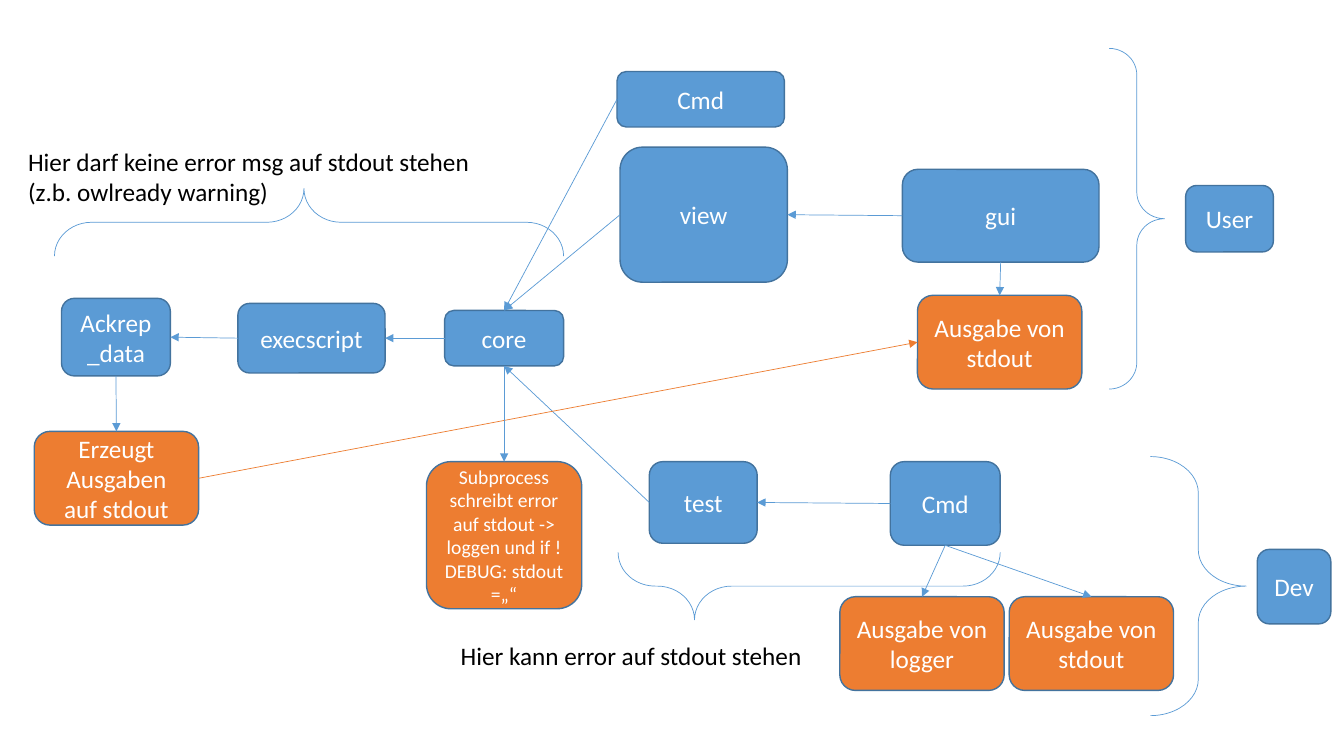
from lxml.etree import SubElement
from pptx import Presentation
from pptx.dml.color import RGBColor
from pptx.enum.shapes import MSO_CONNECTOR, MSO_SHAPE
from pptx.enum.text import MSO_ANCHOR, MSO_AUTO_SIZE, PP_ALIGN
from pptx.oxml.ns import qn
from pptx.util import Pt

PX = 9144
BLUE, ORANGE, EDGE = "5B9BD5", "ED7D31", "43739E"
WHITE, BLACK = "FFFFFF", "000000"
TOP, LEFT, BOTTOM, RIGHT = range(4)
BOX_FRAME = {"word_wrap": True, "vertical_anchor": MSO_ANCHOR.MIDDLE}
LABEL_FRAME = {"word_wrap": False, "auto_size": MSO_AUTO_SIZE.SHAPE_TO_FIT_TEXT}

BOXES = {
    "data": ("Ackrep_data", 61, 296, 108, 77, BLUE),
    "execscript": ("execscript", 236, 301, 146, 69, BLUE),
    "view": ("view", 615, 146, 166, 134, BLUE),
    "gui": ("gui", 895, 168, 195, 92, BLUE),
    "test": ("test", 644, 458, 107, 81, BLUE),
    "dev_cmd": ("Cmd", 883, 458, 109, 83, BLUE),
    "user_stdout": ("Ausgabe von stdout", 910, 293, 163, 93, ORANGE),
    "logger": ("Ausgabe von logger", 833, 592, 163, 93, ORANGE),
    "data_stdout": ("Erzeugt Ausgaben auf stdout", 34, 428, 163, 93, ORANGE),
    "dev_stdout": ("Ausgabe von stdout", 1001, 592, 163, 93, ORANGE),
    "core": ("core", 441, 308, 118, 55, BLUE),
    "subprocess": ("Subprocess schreibt error auf stdout -> loggen und if !DEBUG: stdout =„“",
                   423, 458, 154, 146, ORANGE, 14),
    "user_cmd": ("Cmd", 612, 71, 166, 55, BLUE),
    "user": ("User", 1176, 184, 87, 66, BLUE),
    "dev": ("Dev", 1247, 545, 73, 74, BLUE),
}
ARROWS = [
    ("test", LEFT, "core", BOTTOM, BLUE),
    ("execscript", LEFT, "data", RIGHT, BLUE),
    ("view", LEFT, "core", TOP, BLUE),
    ("gui", LEFT, "view", RIGHT, BLUE),
    ("dev_cmd", LEFT, "test", RIGHT, BLUE),
    ("gui", BOTTOM, "user_stdout", TOP, BLUE),
    ("dev_cmd", BOTTOM, "logger", TOP, BLUE),
    ("data", BOTTOM, "data_stdout", TOP, BLUE),
    ("dev_cmd", BOTTOM, "dev_stdout", TOP, BLUE),
    ("core", LEFT, "execscript", RIGHT, BLUE),
    ("data_stdout", RIGHT, "user_stdout", LEFT, ORANGE),
    ("core", BOTTOM, "subprocess", TOP, BLUE),
    ("user_cmd", LEFT, "core", TOP, BLUE),
]
BRACES = [
    (273, -32, 67, 505, 270, 0.55, 0.49),
    (769, 392, 67, 379, 90, 0.55, 0.8),
    (1100, 48, 55, 338, 0, 0.48, 0.5),
    (1141, 453, 95, 257, 0, 0.38, 0.5),
]
LABELS = [
    ("Hier darf keine error msg auf stdout stehen\n(z.b. owlready warning)", 18, 140, 463, 71),
    ("Hier kann error auf stdout stehen", 447, 630, 362, 40),
]


def rgb(color):
    """Turn a hex string into a colour."""
    return RGBColor.from_string(color)


def emu(*lengths):
    """Scale px lengths to EMU."""
    return [n * PX for n in lengths]


def set_all(obj, values):
    """Set every attribute named in a dict."""
    for name, value in values.items():
        setattr(obj, name, value)


def set_line(line, color, width):
    """Give a line its colour and width in points."""
    line.color.rgb = rgb(color)
    line.width = Pt(width)


def write(tf, text, size, color, align, frame):
    """Write one formatted paragraph into a text frame."""
    set_all(tf, frame)
    p = tf.paragraphs[0]
    set_all(p, {"text": text, "alignment": align})
    for r in p.runs:
        set_all(r.font, {"name": "Calibri", "size": Pt(size)})
        r.font.color.rgb = rgb(color)


def add_box(s, text, x, y, w, h, fill, size=18):
    """Add a rounded box with centred text."""
    sp = s.shapes.add_shape(MSO_SHAPE.ROUNDED_RECTANGLE, *emu(x, y, w, h))
    sp.shadow.inherit = False
    sp.fill.solid()
    sp.fill.fore_color.rgb = rgb(fill)
    set_line(sp.line, EDGE, 1)
    write(sp.text_frame, text, size, WHITE, PP_ALIGN.CENTER, BOX_FRAME)
    return sp


def add_arrow(s, start, start_side, end, end_side, color):
    """Add an arrow glued to two boxes."""
    c = s.shapes.add_connector(MSO_CONNECTOR.STRAIGHT, 0, 0, 0, 0)
    c.begin_connect(start, start_side)
    c.end_connect(end, end_side)
    set_line(c.line, color, 0.5)
    sp_pr = c.element.spPr
    SubElement(sp_pr.find(qn("a:ln")), qn("a:tailEnd"), type="triangle")
    SubElement(sp_pr, qn("a:effectLst"))


def add_brace(s, x, y, w, h, rotation, curl, tip):
    """Add a brace outline, turned by rotation degrees."""
    sp = s.shapes.add_shape(MSO_SHAPE.RIGHT_BRACE, *emu(x, y, w, h))
    sp.shadow.inherit = False
    sp.fill.background()
    sp.rotation = rotation
    sp.adjustments[0], sp.adjustments[1] = curl, tip
    set_line(sp.line, BLUE, 0.5)


def add_label(s, text, x, y, w, h):
    """Add a plain text label."""
    sp = s.shapes.add_textbox(*emu(x, y, w, h))
    write(sp.text_frame, text, 18, BLACK, PP_ALIGN.LEFT, LABEL_FRAME)


def main():
    """Build the slide and save it."""
    prs = Presentation()
    prs.slide_width, prs.slide_height = emu(1333, 750)
    s = prs.slides.add_slide(prs.slide_layouts[6])
    boxes = {name: add_box(s, *box) for name, box in BOXES.items()}
    for start, start_side, end, end_side, color in ARROWS:
        add_arrow(s, boxes[start], start_side, boxes[end], end_side, color)
    for brace in BRACES:
        add_brace(s, *brace)
    for label in LABELS:
        add_label(s, *label)
    prs.save("out.pptx")


if __name__ == "__main__":
    main()
